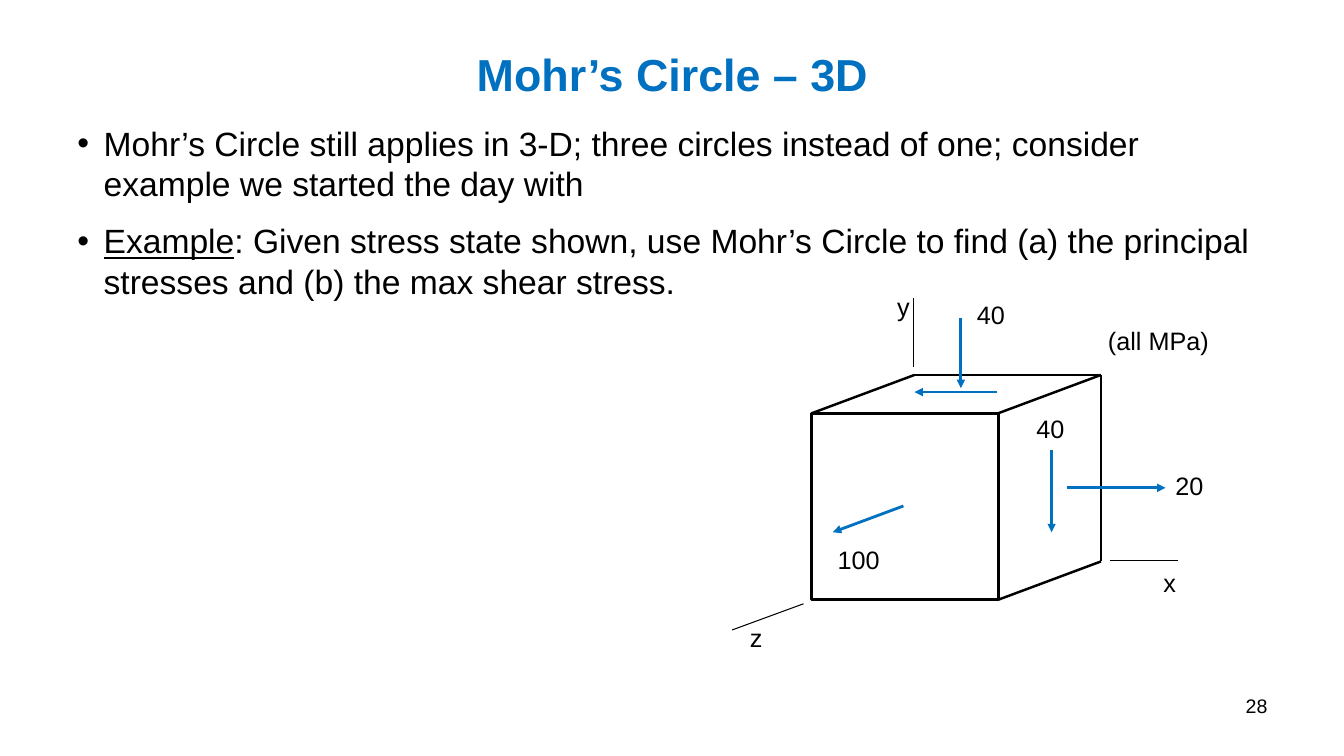
from lxml import etree
from pptx import Presentation
from pptx.dml.color import RGBColor
from pptx.enum.shapes import MSO_CONNECTOR, MSO_SHAPE
from pptx.enum.text import MSO_ANCHOR, PP_ALIGN
from pptx.oxml.ns import qn
from pptx.util import Emu, Pt

PX = 9144  # 100 px to the inch
FONT = "Arial"
COLORS = {"ink": "000000", "blue": "0070C0"}
LINE, RECT = MSO_CONNECTOR.STRAIGHT, MSO_SHAPE.RECTANGLE
TOP, MIDDLE = MSO_ANCHOR.TOP, MSO_ANCHOR.MIDDLE
LEFT, CENTER, RIGHT = PP_ALIGN.LEFT, PP_ALIGN.CENTER, PP_ALIGN.RIGHT

BULLETS = [
    [("Mohr’s Circle still applies in 3-D; three circles instead of one; "
      "consider example we started the day with", False)],
    [("Example", True),
     (": Given stress state shown, use Mohr’s Circle to find (a) the principal "
      "stresses and (b) the max shear stress.", False)],
]
# Front face of the cube and the shift to its back face
FRONT = (805, 410, 185, 185)
DEPTH = (102, -38)
AXES = [(726, 625, 797, 599), (1101, 556, 1168, 556), (906, 296, 906, 364)]
ARROWS = [
    (1058, 484, 1156, 484),
    (953, 315, 953, 385),
    (896, 502, 826, 528),
    (1043, 446, 1043, 528),
    (989, 389, 907, 389),
]
LABELS = [
    ("x", 1144, 558, 24, 30), ("y", 880, 284, 24, 30), ("z", 734, 612, 24, 30),
    ("40", 959, 292, 48, 40), ("20", 1156, 462, 48, 40),
    ("100", 821, 535, 62, 40), ("40", 1018, 405, 48, 40),
    ("(all MPa)", 1089, 318, 121, 40),
]


def px(*vals):
    return [Emu(v * PX) for v in vals]


def rgb(name):
    return RGBColor.from_string(COLORS[name])


def style(para, size, color="ink", bold=False):
    font = para.font
    font.name, font.size, font.bold = FONT, Pt(size), bold
    font.color.rgb = rgb(color)


def add_box(slide, box, wrap=True, anchor=TOP):
    frame = slide.shapes.add_textbox(*px(*box)).text_frame
    frame.word_wrap = wrap
    frame.vertical_anchor = anchor
    return frame


def add_text(slide, text, box, size, align=LEFT, wrap=True, anchor=TOP,
             color="ink", bold=False):
    para = add_box(slide, box, wrap, anchor).paragraphs[0]
    para.text = text
    para.alignment = align
    style(para, size, color, bold)


def add_list(slide, items, box, size):
    frame = add_box(slide, box)
    for i, runs in enumerate(items):
        para = frame.add_paragraph() if i else frame.paragraphs[0]
        if i:
            para.space_before = Pt(size / 2)
        props = para._p.get_or_add_pPr()
        props.set("marL", str(26 * PX))
        props.set("indent", str(-26 * PX))
        etree.SubElement(props, qn("a:buFont"), typeface=FONT)
        etree.SubElement(props, qn("a:buChar"), char="•")
        style(para, size)
        for text, under in runs:
            run = para.add_run()
            run.text = text
            if under:
                run.font.underline = True


def add_line(slide, ends, width, color="ink", arrow=False):
    line = slide.shapes.add_connector(LINE, *px(*ends))
    line.line.width = Pt(width)
    line.line.color.rgb = rgb(color)
    if arrow:
        etree.SubElement(line.line._get_or_add_ln(), qn("a:tailEnd"),
                         type="triangle")
    etree.SubElement(line._element.spPr, qn("a:effectLst"))


def add_cube(slide):
    face = slide.shapes.add_shape(RECT, *px(*FRONT))
    face.shadow.inherit = False
    face.fill.background()
    face.line.color.rgb = rgb("ink")
    face.line.width = Pt(2)

    x, y, w, h = FRONT
    dx, dy = DEPTH
    front = [(x, y), (x + w, y), (x + w, y + h)]
    back = [(a + dx, b + dy) for a, b in front]
    # Edges running back, then the two visible back edges
    for start, end in [*zip(front, back), *zip(back, back[1:])]:
        add_line(slide, start + end, 1.75)


def main():
    deck = Presentation()
    deck.slide_width, deck.slide_height = px(1333, 750)
    slide = deck.slides.add_slide(deck.slide_layouts[6])

    # Title, page number and bullets
    add_text(slide, "Mohr’s Circle – 3D", (217, 30, 900, 87), 32, CENTER,
             anchor=MIDDLE, color="blue", bold=True)
    add_text(slide, "28", (956, 683, 311, 52), 14, RIGHT)
    add_list(slide, BULLETS, (67, 117, 1200, 192), 24)

    # Stress cube with axes, arrows and labels
    add_cube(slide)
    for ends in AXES:
        add_line(slide, ends, 0.75)
    for ends in ARROWS:
        add_line(slide, ends, 2, "blue", arrow=True)
    for text, *box in LABELS:
        add_text(slide, text, box, 18, wrap=False)

    deck.save("out.pptx")


if __name__ == "__main__":
    main()
